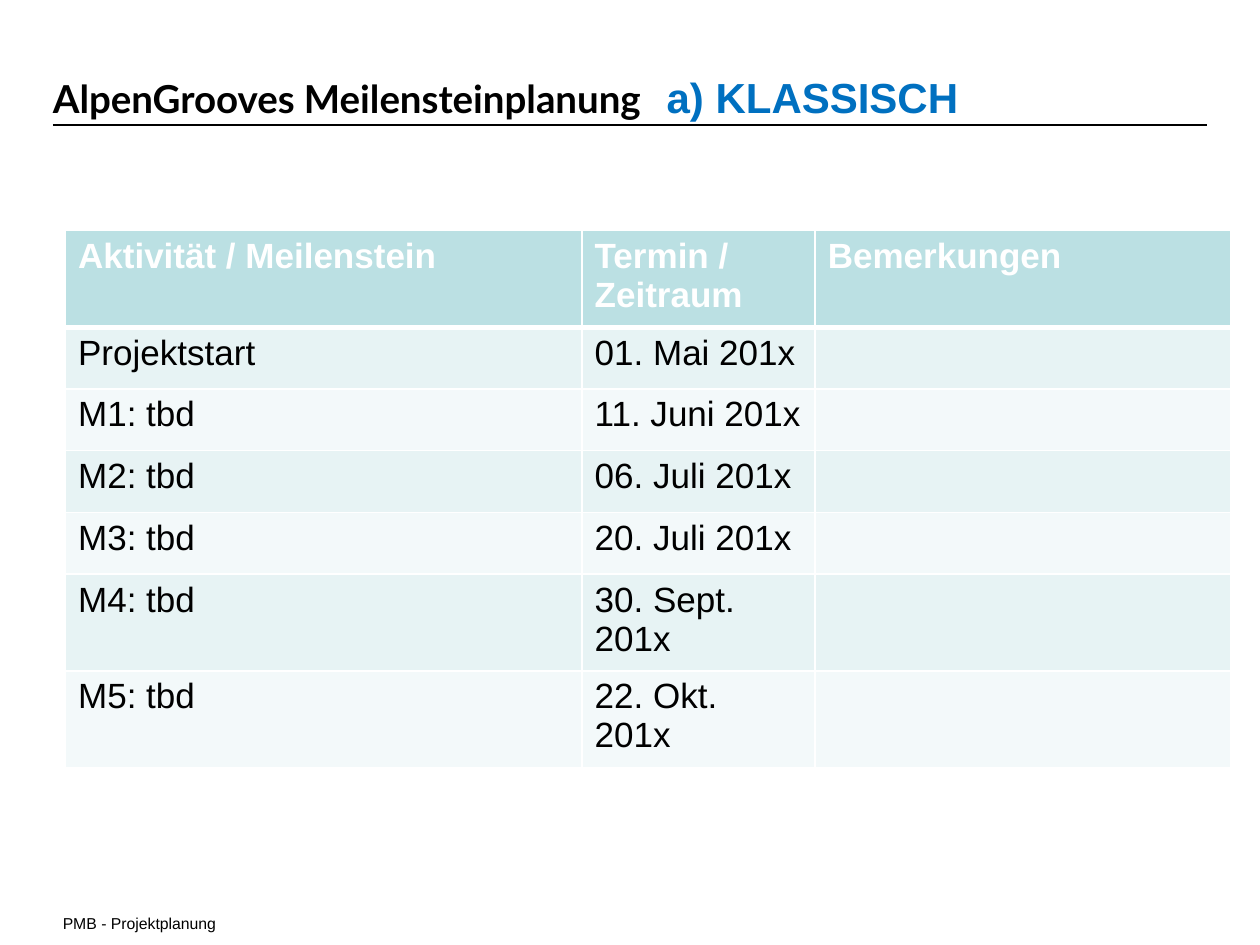
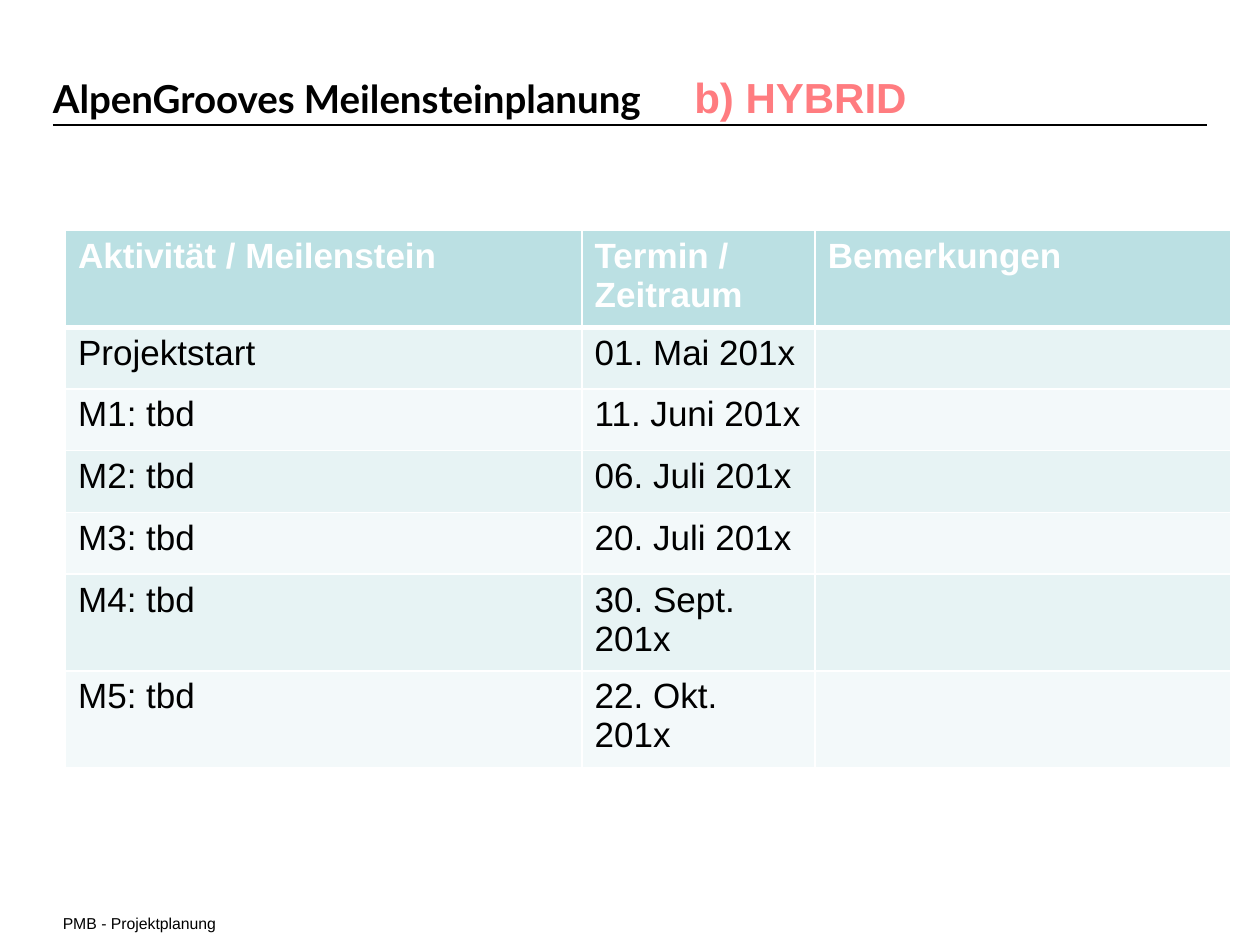
from lxml.etree import SubElement
from pptx import Presentation
from pptx.dml.color import RGBColor
from pptx.enum.shapes import MSO_CONNECTOR
from pptx.enum.text import MSO_ANCHOR, MSO_AUTO_SIZE, PP_ALIGN
from pptx.oxml.ns import qn
from pptx.util import Inches, Pt

BLACK = RGBColor(0x00, 0x00, 0x00)
WHITE = RGBColor(0xFF, 0xFF, 0xFF)
BLUE = RGBColor(0x00, 0x70, 0xC0)
CORAL = RGBColor(0xFF, 0x7C, 0x80)
HEADER = RGBColor(0xBB, 0xE0, 0xE3)
BANDS = [RGBColor(0xF3, 0xF9, 0xFA), RGBColor(0xE7, 0xF3, 0xF4)]

TITLE = "AlpenGrooves Meilensteinplanung"
FOOTER = "PMB - Projektplanung"
# variant label, its colour, its tab position
VARIANTS = [("a) KLASSISCH", BLUE, 4.87), ("b) HYBRID", CORAL, 5.09)]

COLUMN_WIDTHS = [4.1, 1.85, 3.3]
ONE_LINE, TWO_LINES = 0.49, 0.76
# row height, cell texts
ROWS = [
    (TWO_LINES, ("Aktivität / Meilenstein", "Termin / Zeitraum", "Bemerkungen")),
    (ONE_LINE, ("Projektstart", "01. Mai 201x", "")),
    (ONE_LINE, ("M1: tbd", "11. Juni 201x", "")),
    (ONE_LINE, ("M2: tbd", "06. Juli 201x", "")),
    (ONE_LINE, ("M3: tbd", "20. Juli 201x", "")),
    (TWO_LINES, ("M4: tbd", "30. Sept. 201x", "")),
    (TWO_LINES, ("M5: tbd", "22. Okt. 201x", "")),
]


def style(r, font, size, color, bold=False):
    """Set the font, size, colour and weight of a run."""
    r.font.name = font
    r.font.size = Pt(size)
    r.font.color.rgb = color
    r.font.bold = bold


def set_borders(cell, top, bottom):
    """Draw white cell borders; top and bottom are widths in points."""
    tcPr = cell._tc.get_or_add_tcPr()
    widths = {"a:lnL": 1, "a:lnR": 1, "a:lnT": top, "a:lnB": bottom}
    for tag, width in widths.items():
        ln = SubElement(tcPr, qn(tag), w=str(Pt(width)))
        fill = SubElement(ln, qn("a:solidFill"))
        SubElement(fill, qn("a:srgbClr"), val=str(WHITE))


prs = Presentation()
prs.slide_width, prs.slide_height = Inches(10), Inches(7.5)

for label, color, tab in VARIANTS:
    slide = prs.slides.add_slide(prs.slide_layouts[5])

    # Rule under the title
    rule = slide.shapes.add_connector(
        MSO_CONNECTOR.STRAIGHT, Inches(0.42), Inches(0.99), Inches(9.58), Inches(0.99))
    rule.line.color.rgb = BLACK
    rule.line.width = Pt(1)
    SubElement(rule._element.spPr, qn("a:effectLst"))

    # Footer
    sp = slide.shapes.add_textbox(Inches(0.4), Inches(7.2), Inches(1.43), Inches(0.25))
    tf = sp.text_frame
    tf.word_wrap = False
    tf.text = FOOTER
    style(tf.paragraphs[0].runs[0], "Arial", 9, BLACK)

    # Title, with the variant label at a tab stop
    title = slide.shapes.title
    title.left, title.top = Inches(0.32), Inches(0.49)
    title.width, title.height = Inches(9), Inches(0.55)
    tf = title.text_frame
    tf.auto_size = MSO_AUTO_SIZE.NONE
    tf.vertical_anchor = MSO_ANCHOR.MIDDLE
    p = tf.paragraphs[0]
    p.alignment = PP_ALIGN.LEFT
    tabs = SubElement(p._p.get_or_add_pPr(), qn("a:tabLst"))
    SubElement(tabs, qn("a:tab"), pos=str(Inches(tab)), algn="l")
    r = p.add_run()
    r.text = TITLE + "\t"
    style(r, "Lato", 22, BLACK, bold=True)
    r = p.add_run()
    r.text = label
    style(r, "Arial", 24, color, bold=True)

    # Milestone table
    height = sum(row_height for row_height, _ in ROWS)
    table = slide.shapes.add_table(
        len(ROWS), len(COLUMN_WIDTHS), Inches(0.52), Inches(1.83),
        Inches(sum(COLUMN_WIDTHS)), Inches(height)).table
    for column, width in zip(table.columns, COLUMN_WIDTHS):
        column.width = Inches(width)
    for i, (row_height, texts) in enumerate(ROWS):
        table.rows[i].height = Inches(row_height)
        is_header = i == 0
        for cell, text in zip(table.rows[i].cells, texts):
            set_borders(cell, top=3 if i == 1 else 1, bottom=3 if is_header else 1)
            cell.fill.solid()
            cell.fill.fore_color.rgb = HEADER if is_header else BANDS[i % 2]
            if text:
                cell.text = text
                p = cell.text_frame.paragraphs[0]
                p.alignment = PP_ALIGN.LEFT
                style(p.runs[0], "Arial", 20, WHITE if is_header else BLACK, bold=is_header)

prs.save("out.pptx")
